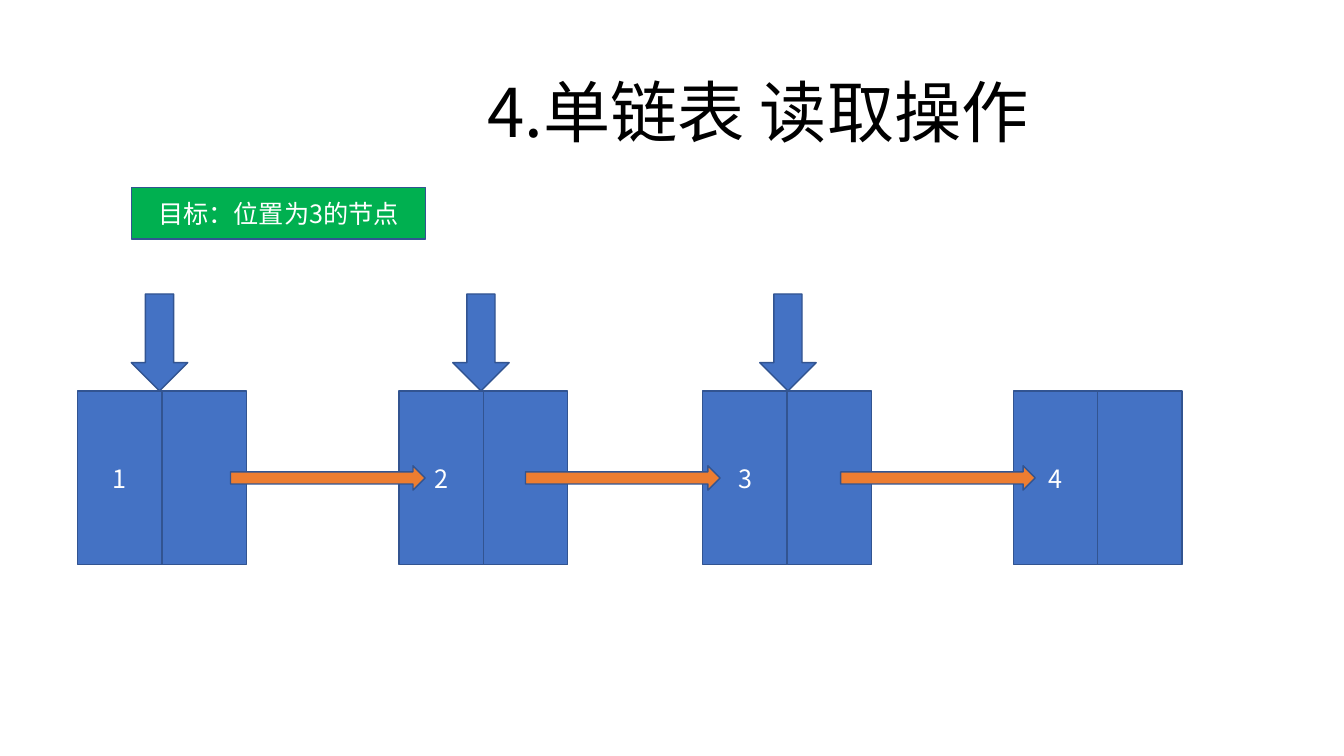
from pptx import Presentation
from pptx.dml.color import RGBColor
from pptx.enum import shapes, text
from pptx.oxml import ns
from pptx.util import Pt
from lxml import etree

FONT = "Noto Sans CJK SC"
BLUE, ORANGE, GREEN = "4472C4", "ED7D31", "00B050"
OUTLINE, WHITE, BLACK = "325491", "FFFFFF", "000000"
SHAPE = shapes.MSO_SHAPE


def color(value):
    return RGBColor.from_string(value)


def write(shape, content, size, font_color):
    paragraph = shape.text_frame.paragraphs[0]
    paragraph.alignment = text.PP_ALIGN.CENTER
    run = paragraph.add_run()
    run.text = content
    run.font.size = Pt(size)
    run.font.name = FONT
    run.font.color.rgb = color(font_color)
    # East Asian typeface for the Chinese characters
    east_asian = etree.SubElement(run.font._element, ns.qn("a:ea"))
    east_asian.set("typeface", FONT)
    return paragraph


def add_block(slide, kind, left, top, width, height, fill, label=None):
    shape = slide.shapes.add_shape(kind, Pt(left), Pt(top), Pt(width), Pt(height))
    shape.shadow.inherit = False
    shape.fill.solid()
    shape.fill.fore_color.rgb = color(fill)
    shape.line.color.rgb = color(OUTLINE)
    shape.line.width = Pt(1)
    if label:
        shape.text_frame.vertical_anchor = text.MSO_ANCHOR.MIDDLE
        write(shape, label, 18, WHITE)
    return shape


def add_title(slide, left, top, width, height):
    box = slide.shapes.add_textbox(Pt(left), Pt(top), Pt(width), Pt(height))
    box.text_frame.word_wrap = True
    box.text_frame.auto_size = text.MSO_AUTO_SIZE.SHAPE_TO_FIT_TEXT
    write(box, "4.单链表 读取操作", 48, BLACK).line_spacing = 0.9


def add_linked_list(slide, top, cell_width, height):
    # Nodes: a value cell and a pointer cell
    for number, left in enumerate((55.4, 285, 502, 723.8), start=1):
        for column, label in enumerate((str(number), None)):
            add_block(slide, SHAPE.RECTANGLE, left + column * cell_width, top,
                      cell_width, height, BLUE, label)
    # Links from each pointer cell to the next node
    link_height = 17.4
    for left in (164.7, 375.4, 600.5):
        add_block(slide, SHAPE.RIGHT_ARROW, left, top + (height - link_height) / 2,
                  139, link_height, ORANGE)


def add_cursors(slide, bottom, width, height):
    # Steps of the search, ending at node 3
    for left in (93.8, 323.4, 542.7):
        add_block(slide, SHAPE.DOWN_ARROW, left, bottom - height, width, height, BLUE)


def build_slide(presentation):
    slide = presentation.slides.add_slide(presentation.slide_layouts[6])
    add_title(slide, 223.2, 53.3, 636.5, 65.5)
    add_linked_list(slide, 279.4, 60.3, 124)
    add_block(slide, SHAPE.RECTANGLE, 93.8, 133.9, 210.2, 36.7, GREEN, "目标：位置为3的节点")
    add_cursors(slide, 279.2, 40.3, 69.2)


def main():
    presentation = Presentation()
    presentation.slide_width, presentation.slide_height = Pt(960), Pt(540)
    build_slide(presentation)
    presentation.save("out.pptx")


if __name__ == "__main__":
    main()
